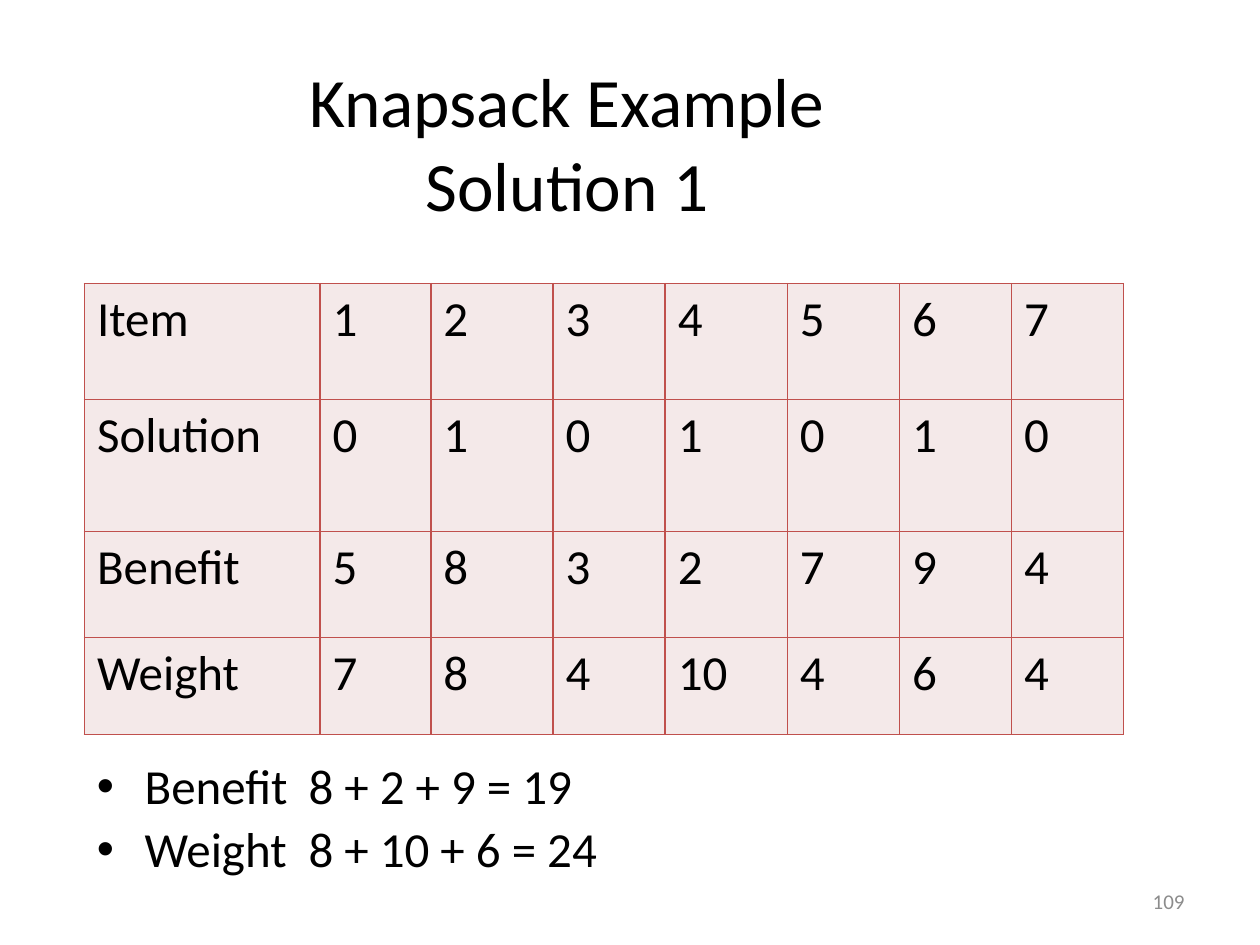
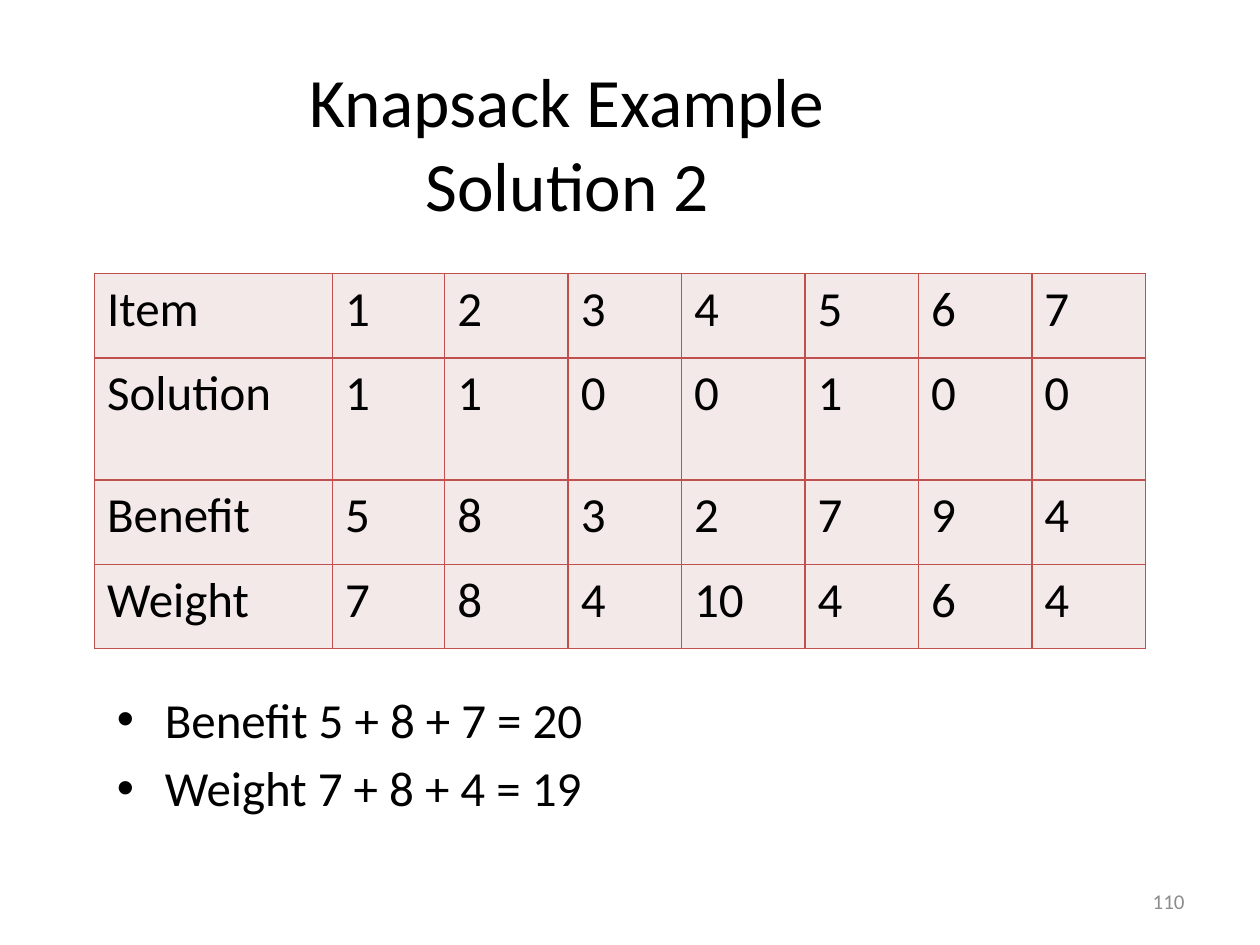
from pptx import Presentation
from pptx.dml.color import RGBColor
from pptx.enum.text import MSO_ANCHOR, PP_ALIGN
from pptx.oxml.ns import qn
from pptx.util import Pt
from lxml.etree import SubElement

PX = 9144
BLACK = RGBColor(0x00, 0x00, 0x00)
GRAY = RGBColor(0x8C, 0x8C, 0x8C)
RED = RGBColor(0xC0, 0x50, 0x4D)
PINK = RGBColor(0xF4, 0xE9, 0xE9)
FONT = "Calibri"
BODY_SIZE = 28
INDENT = 38

ITEMS = ["Item", 1, 2, 3, 4, 5, 6, 7]
BENEFITS = ["Benefit", 5, 8, 3, 2, 7, 9, 4]
WEIGHTS = ["Weight", 7, 8, 4, 10, 4, 6, 4]


def write(paragraph, text, size=BODY_SIZE, color=BLACK, align=PP_ALIGN.LEFT,
          before=0, spacing=None):
    for number, line in enumerate(text.split("\n")):
        if number:
            paragraph.add_line_break()
        paragraph.add_run().text = line
    paragraph.alignment = align
    paragraph.space_before = Pt(before)
    if spacing:
        paragraph.line_spacing = spacing
    for run in paragraph.runs:
        run.font.name = FONT
        run.font.size = Pt(size)
        run.font.color.rgb = color


def add_bullet(paragraph, tab=None):
    properties = paragraph._p.get_or_add_pPr()
    properties.set("marL", str(INDENT * PX))
    properties.set("indent", str(-INDENT * PX))
    SubElement(properties, qn("a:buFont"), typeface="Arial")
    SubElement(properties, qn("a:buChar"), char="•")
    if tab:
        stops = SubElement(properties, qn("a:tabLst"))
        SubElement(stops, qn("a:tab"), pos=str(tab * PX), algn="l")


def add_borders(cell):
    properties = cell._tc.get_or_add_tcPr()
    for side in ("lnL", "lnR", "lnT", "lnB"):
        border = SubElement(properties, qn("a:" + side), w=str(Pt(1)))
        fill = SubElement(border, qn("a:solidFill"))
        SubElement(fill, qn("a:srgbClr"), val=str(RED))


class Deck:
    def __init__(self):
        self.presentation = Presentation()
        self.presentation.slide_width = 1000 * PX
        self.presentation.slide_height = 750 * PX
        self.slide = None

    def add_slide(self, title, page):
        self.slide = self.presentation.slides.add_slide(
            self.presentation.slide_layouts[6])
        heading = self.add_frame(25, 50, 850, 125, MSO_ANCHOR.MIDDLE)
        write(heading.paragraphs[0], title, size=39.6, align=PP_ALIGN.CENTER)
        footer = self.add_frame(717, 695, 233, 40, MSO_ANCHOR.MIDDLE)
        write(footer.paragraphs[0], str(page), size=12, color=GRAY,
              align=PP_ALIGN.RIGHT)

    def add_frame(self, left, top, width, height, anchor=MSO_ANCHOR.TOP):
        frame = self.slide.shapes.add_textbox(
            left * PX, top * PX, width * PX, height * PX).text_frame
        frame.word_wrap = True
        frame.vertical_anchor = anchor
        return frame

    def add_totals(self, left, top, height, totals, spacing=None, tab=None):
        frame = self.add_frame(left, top, 825, height)
        for number, total in enumerate(totals):
            paragraph = frame.add_paragraph() if number else frame.paragraphs[0]
            add_bullet(paragraph, tab)
            write(paragraph, total, spacing=spacing,
                  before=0.2 * BODY_SIZE if number else 0)

    def add_choices(self, left, top, widths, heights, choices):
        rows = [ITEMS, ["Solution", *choices], BENEFITS, WEIGHTS]
        table = self.slide.shapes.add_table(
            len(rows), len(ITEMS), left * PX, top * PX,
            sum(widths) * PX, sum(heights) * PX).table
        table.first_row = False
        table.horz_banding = False
        for column, width in zip(table.columns, widths):
            column.width = width * PX
        for row, height, values in zip(table.rows, heights, rows):
            row.height = height * PX
            for cell, value in zip(row.cells, values):
                add_borders(cell)
                cell.fill.solid()
                cell.fill.fore_color.rgb = PINK
                write(cell.text_frame.paragraphs[0], str(value))


def main():
    deck = Deck()

    deck.add_slide("Knapsack Example\nSolution 1", 109)
    deck.add_totals(67, 600, 108,
                    ["Benefit\t8 + 2 + 9 = 19", "Weight\t8 + 10 + 6 = 24"],
                    spacing=0.9, tab=168)
    deck.add_choices(67, 225, [187, 88, 97, 89, 97, 89, 89, 89],
                     [92, 105, 84, 77], [0, 1, 0, 1, 0, 1, 0])

    deck.add_slide("Knapsack Example\nSolution 2", 110)
    deck.add_totals(83, 542, 167,
                    ["Benefit 5 + 8 + 7 = 20", "Weight 7 + 8 + 4 = 19"])
    deck.add_choices(75, 217, [189, 89, 98, 90, 98, 90, 90, 90],
                     [67, 97, 67, 67], [1, 1, 0, 0, 1, 0, 0])

    deck.presentation.save("out.pptx")


if __name__ == "__main__":
    main()
